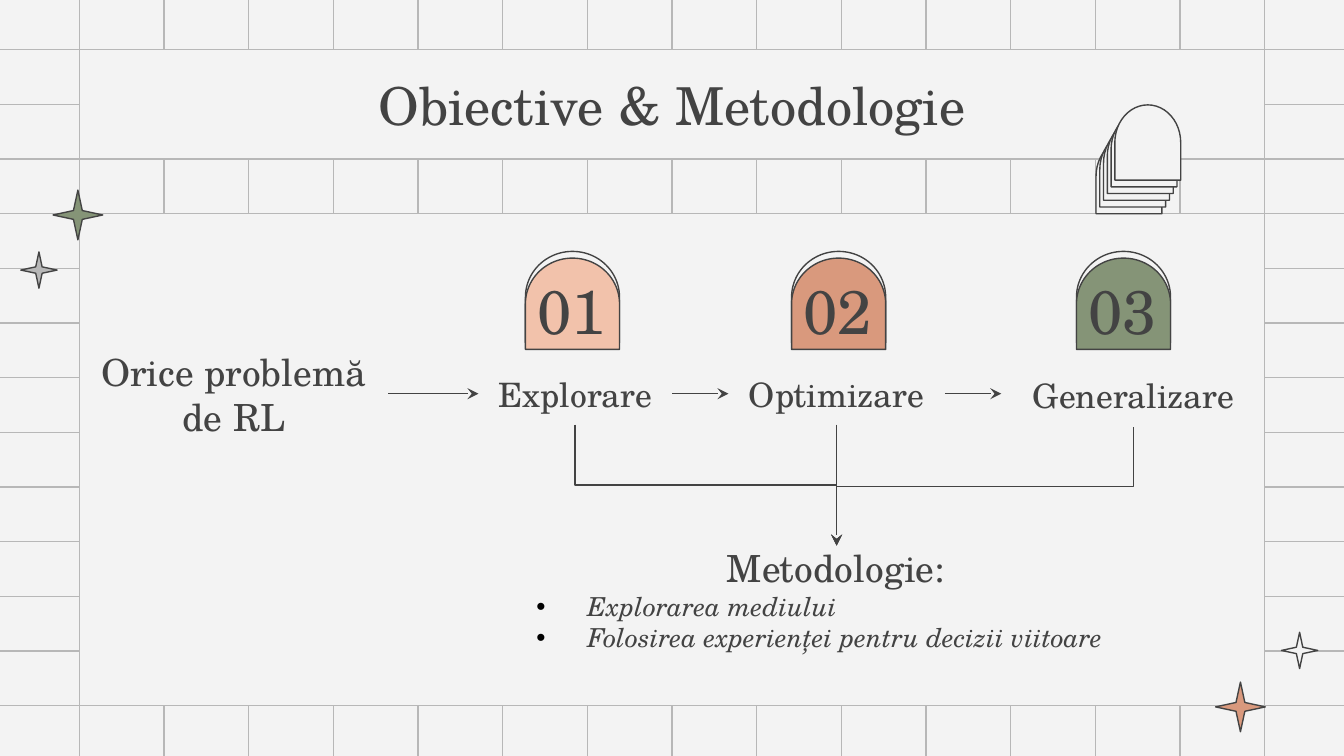
from dataclasses import dataclass
from lxml.etree import SubElement
from pptx import Presentation
from pptx.dml.color import RGBColor
from pptx.enum.shapes import MSO_CONNECTOR, MSO_SHAPE
from pptx.enum.text import MSO_ANCHOR, MSO_AUTO_SIZE, PP_ALIGN
from pptx.oxml.ns import qn
from pptx.util import Inches, Pt


@dataclass(frozen=True)
class Theme:
    font: str = "TeX Gyre Schola"
    paper: str = "F3F3F3"
    grid: str = "B7B7B7"
    ink: str = "434343"
    bullet: str = "000000"
    green: str = "859477"
    clay: str = "D9997D"
    peach: str = "F2C2AB"
    title: int = 28
    number: int = 33
    heading: int = 20
    label: int = 18
    item: int = 14
    line: float = 0.75


THEME = Theme()
WIDTH, HEIGHT = 10, 5.625
COLUMN, ROW = 0.63, 4.88 / 12
GRID_LEFT, GRID_TOP = 0.59, 0.37
COLUMNS, ROWS = 14, 12
INSET = 0.1

TITLE = "Obiective & Metodologie"
PROBLEM = ("Orice problemă de RL", (0.59, 2.59, 2.3, 0.68))
STEPS = [
    ("01", "Explorare", THEME.peach, 4.26, (3.56, 2.71, 1.44, 0.45)),
    ("02", "Optimizare", THEME.clay, 6.24, (5.42, 2.71, 1.61, 0.45)),
    ("03", "Generalizare", THEME.green, 8.36, (7.45, 2.7, 1.97, 0.48)),
]
METHOD_BOX = (3.89, 4.06, 4.66, 1.06)
METHOD_HEADING = "Metodologie:"
METHOD_ITEMS = ["Explorarea mediului", "Folosirea experienței pentru decizii viitoare"]
STARS = [
    (9.23, 5.26, 0.37, THEME.clay),
    (9.67, 4.84, 0.27, THEME.paper),
    (0.58, 1.6, 0.37, THEME.green),
    (0.29, 2.01, 0.27, THEME.grid),
]

presentation = Presentation()
presentation.slide_width, presentation.slide_height = Inches(WIDTH), Inches(HEIGHT)
slide = presentation.slides.add_slide(presentation.slide_layouts[1])
shapes = slide.shapes


def color(value):
    return RGBColor.from_string(value)


def apply(target, values):
    for name, value in values.items():
        setattr(target, name, value)


def place(shape, box):
    apply(shape, dict(zip(("left", "top", "width", "height"), map(Inches, box))))


def paint(shape, fill, line=THEME.ink):
    shape.fill.solid()
    shape.fill.fore_color.rgb = color(fill)
    shape.line.color.rgb = color(line)
    shape.line.width = Pt(THEME.line)


def add_shape(kind, box, fill, line=THEME.ink):
    shape = shapes.add_shape(kind, *map(Inches, box))
    shape.shadow.inherit = False
    paint(shape, fill, line)
    return shape


def add_arch(center_x, center_y, width, height, fill):
    box = (center_x - height / 2, center_y - width / 2, height, width)
    add_shape(MSO_SHAPE.FLOWCHART_DELAY, box, fill).rotation = 270


def add_line(kind, start, end, line):
    connector = shapes.add_connector(kind, *map(Inches, (*start, *end)))
    connector.line.color.rgb = color(line)
    connector.line.width = Pt(THEME.line)
    SubElement(connector._element.spPr, qn("a:effectLst"))
    return connector


def add_arrow(start, end):
    connector = add_line(MSO_CONNECTOR.ELBOW, start, end, THEME.ink)
    SubElement(connector.line._get_or_add_ln(), qn("a:tailEnd"), type="stealth")
    return connector


def add_drop(start, end):
    across, down = abs(end[0] - start[0]), end[1] - start[1]
    center_x, center_y = (start[0] + end[0]) / 2, (start[1] + end[1]) / 2
    left, right = center_x - down / 2, center_x + down / 2
    top, bottom = center_y - across / 2, center_y + across / 2
    rightward = end[0] > start[0]
    if rightward:
        left, right = right, left
    connector = add_arrow((left, top), (right, bottom))
    turn = 270 if rightward else 90
    connector._element.spPr.find(qn("a:xfrm")).set("rot", str(turn * 60000))


def format_frame(frame, anchor=MSO_ANCHOR.MIDDLE, top=INSET):
    apply(frame, {
        "word_wrap": True,
        "auto_size": MSO_AUTO_SIZE.NONE,
        "vertical_anchor": anchor,
        "margin_left": Inches(INSET),
        "margin_right": Inches(INSET),
        "margin_top": Inches(top),
        "margin_bottom": Inches(INSET),
    })


def write(paragraph, text, size, align=PP_ALIGN.CENTER, italic=False):
    paragraph.text = text
    apply(paragraph, {"alignment": align, "space_before": Pt(0), "line_spacing": 1.0})
    font = paragraph.runs[0].font
    apply(font, {"name": THEME.font, "size": Pt(size), "italic": italic, "bold": False})
    font.color.rgb = color(THEME.ink)


def add_text(text, box, size):
    frame = shapes.add_textbox(*map(Inches, box)).text_frame
    format_frame(frame)
    write(frame.paragraphs[0], text, size)


def set_bullet(paragraph, bullet):
    properties = paragraph._p.get_or_add_pPr()
    indent = Inches(0.38) if bullet else 0
    properties.set("marL", str(indent))
    properties.set("indent", str(-indent))
    if not bullet:
        SubElement(properties, qn("a:buNone"))
        return
    bullet_color = SubElement(properties, qn("a:buClr"))
    SubElement(bullet_color, qn("a:srgbClr"), val=THEME.bullet)
    SubElement(properties, qn("a:buFont"), typeface="Arial")
    SubElement(properties, qn("a:buChar"), char=bullet)


slide.background.fill.solid()
slide.background.fill.fore_color.rgb = color(THEME.paper)
for column in range(COLUMNS + 1):
    x = GRID_LEFT + column * COLUMN
    add_line(MSO_CONNECTOR.STRAIGHT, (x, 0), (x, HEIGHT), THEME.grid)
for row in range(ROWS + 1):
    y = GRID_TOP + row * ROW
    add_line(MSO_CONNECTOR.STRAIGHT, (0, y), (WIDTH, y), THEME.grid)
panel = (GRID_LEFT, GRID_TOP + 3 * ROW, COLUMNS * COLUMN, 9 * ROW)
add_shape(MSO_SHAPE.RECTANGLE, panel, THEME.paper, THEME.grid)
for x, y, size, fill in STARS:
    star = add_shape(MSO_SHAPE.STAR_4_POINT, (x - size / 2, y - size / 2, size, size), fill)
    star.adjustments[0] = 0.125

title, method = shapes.title, slide.placeholders[1]
for placeholder in (title, method):
    shapes._spTree.append(placeholder._element)
place(title, (GRID_LEFT, GRID_TOP, COLUMNS * COLUMN, 2 * ROW))
paint(title, THEME.paper, THEME.grid)
format_frame(title.text_frame)
write(title.text_frame.paragraphs[0], TITLE, THEME.title)

for layer in range(6):
    add_arch(8.4 + layer * 0.14 / 5, 1.31 - layer * 0.05, 0.49, 0.56, THEME.paper)

place(method, METHOD_BOX)
format_frame(method.text_frame, MSO_ANCHOR.TOP, 0)
heading = method.text_frame.paragraphs[0]
write(heading, METHOD_HEADING, THEME.heading)
set_bullet(heading, None)
for item in METHOD_ITEMS:
    paragraph = method.text_frame.add_paragraph()
    write(paragraph, item, THEME.item, PP_ALIGN.LEFT, True)
    set_bullet(paragraph, "•")

add_text(*PROBLEM, THEME.heading)
previous = PROBLEM[1]
target = (STEPS[1][4][0] + STEPS[1][4][2] / 2, METHOD_BOX[1])
for number, label, fill, center, box in STEPS:
    for y, layer_fill in ((2.21, THEME.paper), (2.26, fill)):
        add_arch(center, y, 0.7, 0.68, layer_fill)
    add_text(number, (center - 0.42, 2.05, 0.83, 0.51), THEME.number)
    add_text(label, box, THEME.label)
    left, top, width, height = box
    add_arrow((previous[0] + previous[2], 2.93), (left, 2.93))
    add_drop((left + width / 2, top + height), target)
    previous = box

presentation.save("out.pptx")
